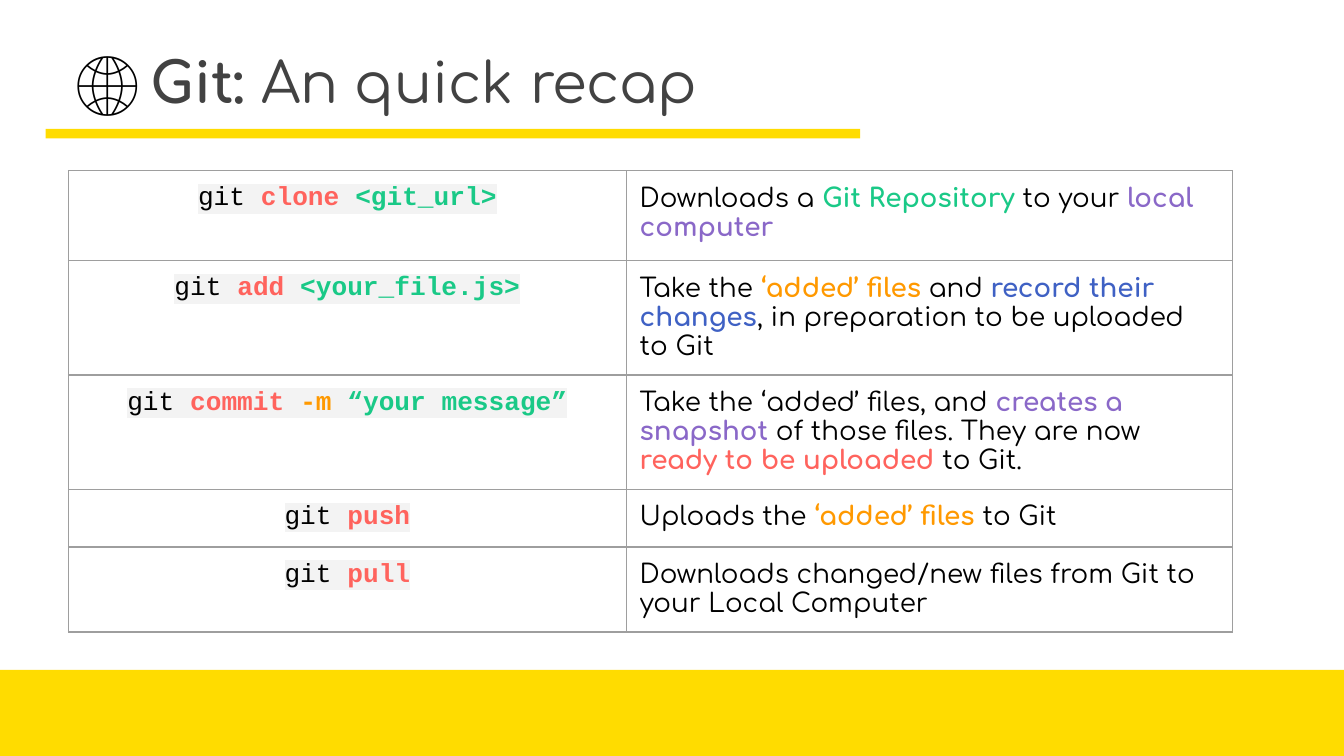
from dataclasses import dataclass

from lxml import etree
from pptx import Presentation
from pptx.dml.color import RGBColor
from pptx.enum.shapes import MSO_SHAPE
from pptx.enum.text import MSO_ANCHOR, MSO_AUTO_SIZE, PP_ALIGN
from pptx.oxml.ns import qn
from pptx.util import Inches, Pt

RECT = MSO_SHAPE.RECTANGLE
BOTTOM, TOP = MSO_ANCHOR.BOTTOM, MSO_ANCHOR.TOP
LEFT, CENTER = PP_ALIGN.LEFT, PP_ALIGN.CENTER
FIXED = MSO_AUTO_SIZE.NONE
TITLE_ONLY = 5
WIDE = 10
HIGH = WIDE * 9 / 16


@dataclass(frozen=True)
class Theme:
    ink: str = "000000"
    head: str = "424242"
    yellow: str = "FFDC00"
    red: str = "FF635D"
    green: str = "1AC987"
    purple: str = "8A68C8"
    orange: str = "FF9900"
    blue: str = "3F61C4"
    shade: str = "F3F3F3"
    grid: str = "9E9E9E"
    sans: str = "Comfortaa"
    mono: str = "Courier New"
    plain: str = "Arial"
    title: int = 30
    icon: int = 32
    gap: int = 21
    body: int = 14
    line: float = 0.75
    pad: float = 0.1


T = Theme()

ROWS = [
    (0.67,
     [("git ", T.ink), ("clone ", T.red), ("<git_url>", T.green)],
     [("Downloads a ", T.ink), ("Git Repository", T.green),
      (" to your", T.ink), (" local computer", T.purple)]),
    (0.85,
     [("git ", T.ink), ("add ", T.red), ("<your_file.js>", T.green)],
     [("Take the ", T.ink), ("‘added’ files", T.orange), (" and ", T.ink),
      ("record their changes", T.blue),
      (", in preparation to be uploaded to Git", T.ink)]),
    (0.85,
     [("git ", T.ink), ("commit ", T.red), ("-m", T.orange), (" ", T.ink),
      ("“your message”", T.green)],
     [("Take the ‘added’ files, and ", T.ink),
      ("creates a snapshot", T.purple),
      (" of those files. They are now ", T.ink),
      ("ready to be uploaded", T.red), (" to Git.", T.ink)]),
    (0.43,
     [("git ", T.ink), ("push", T.red)],
     [("Uploads the ", T.ink), ("‘added’ files", T.orange),
      (" to Git", T.ink)]),
    (0.63,
     [("git ", T.ink), ("pull", T.red)],
     [("Downloads changed/new files from Git to your Local Computer", T.ink)]),
]


def add_run(para, text, font, size, color, bold=False, shade=None):
    run = para.add_run()
    run.text = text
    run.font.size = Pt(size)
    run.font.bold = bold
    run.font.color.rgb = RGBColor.from_string(color)
    if shade:
        fill = run.font._element.find(qn("a:solidFill"))
        mark = etree.Element(qn("a:highlight"))
        etree.SubElement(mark, qn("a:srgbClr"), val=shade)
        fill.addnext(mark)
    run.font.name = font


def set_pad(part):
    part.margin_left = part.margin_right = Inches(T.pad)
    part.margin_top = part.margin_bottom = Inches(T.pad)


def add_bar(slide, x, y, w, h):
    bar = slide.shapes.add_shape(RECT, Inches(x), Inches(y), Inches(w), Inches(h))
    bar.shadow.inherit = False
    bar.fill.solid()
    bar.fill.fore_color.rgb = RGBColor.from_string(T.yellow)
    bar.line.fill.background()


def add_title(slide, x, y, w, h):
    title = slide.shapes.title
    title.left, title.top = Inches(x), Inches(y)
    title.width, title.height = Inches(w), Inches(h)
    frame = title.text_frame
    frame.word_wrap = True
    frame.auto_size = FIXED
    frame.vertical_anchor = BOTTOM
    set_pad(frame)
    para = frame.paragraphs[0]
    para.alignment = LEFT
    add_run(para, " ", T.sans, T.title, T.head, True)
    add_run(para, "🌐", T.plain, T.icon, T.ink)
    add_run(para, " ", T.plain, T.gap, T.ink)
    add_run(para, "Git: ", T.sans, T.title, T.head, True)
    add_run(para, "An quick recap", T.sans, T.title, T.head)
    add_bar(slide, x, y + h, 6.06, 0.07)


def add_edges(cell):
    props = cell._tc.get_or_add_tcPr()
    for spot, side in enumerate(("a:lnL", "a:lnR", "a:lnT", "a:lnB")):
        edge = etree.Element(qn(side), w=str(Pt(T.line)))
        fill = etree.SubElement(edge, qn("a:solidFill"))
        etree.SubElement(fill, qn("a:srgbClr"), val=T.grid)
        props.insert(spot, edge)


def fill_cell(cell, parts, font, align, shade=None):
    cell.fill.background()
    cell.vertical_anchor = TOP
    set_pad(cell)
    add_edges(cell)
    para = cell.text_frame.paragraphs[0]
    para.alignment = align
    for text, color in parts:
        add_run(para, text, font, T.body, color, color != T.ink, shade)


def add_grid(slide, x, y, widths):
    high = sum(row[0] for row in ROWS)
    table = slide.shapes.add_table(
        len(ROWS), len(widths), Inches(x), Inches(y),
        Inches(sum(widths)), Inches(high)).table
    table.first_row = False
    table.horz_banding = False
    for col, width in zip(table.columns, widths):
        col.width = Inches(width)
    for row, (height, code, note) in zip(table.rows, ROWS):
        row.height = Inches(height)
        fill_cell(row.cells[0], code, T.mono, CENTER, T.shade)
        fill_cell(row.cells[1], note, T.sans, LEFT)


def main():
    deck = Presentation()
    deck.slide_width, deck.slide_height = Inches(WIDE), Inches(HIGH)
    slide = deck.slides.add_slide(deck.slide_layouts[TITLE_ONLY])
    foot = 0.64
    add_bar(slide, 0, HIGH - foot, WIDE, foot)
    add_title(slide, 0.34, 0.16, 9.32, 0.8)
    add_grid(slide, 0.51, 1.27, (4.15, 4.51))
    deck.save("out.pptx")


if __name__ == "__main__":
    main()
